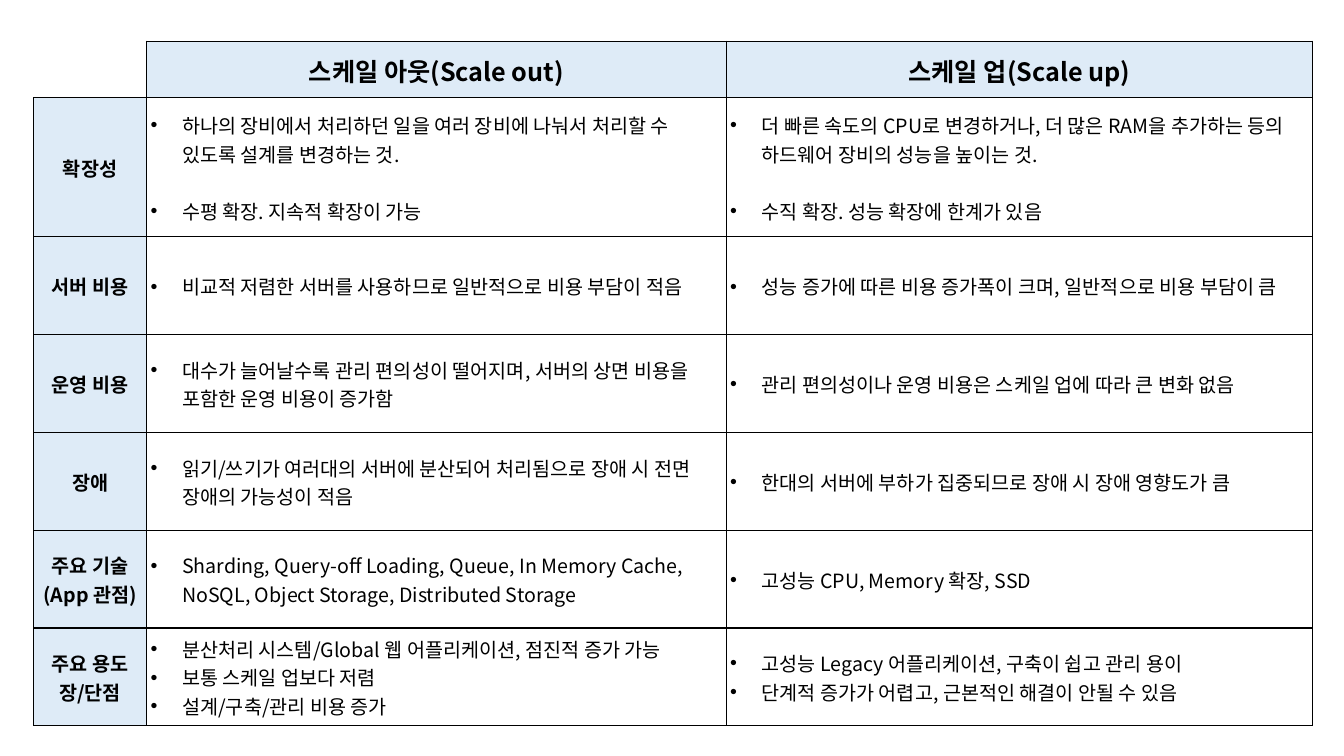
from lxml.etree import SubElement
from pptx import Presentation
from pptx.dml.color import RGBColor
from pptx.enum.text import MSO_ANCHOR as Anchor, PP_ALIGN as Align
from pptx.oxml import parse_xml
from pptx.oxml.ns import nsdecls, qn
from pptx.util import Pt

FONT = "Noto Sans CJK KR"
BLACK = RGBColor(0x00, 0x00, 0x00)
PALE_BLUE = RGBColor(0xDE, 0xEB, 0xF7)
TITLE_SIZE, BODY_SIZE = 18, 14
INDENT = 22.5
BLANK_LINE = 20.25
COLUMN_WIDTHS = (80.7, 414, 419)
ROW_HEIGHTS = (40.3, 99.4) + (69.85,) * 5
TABLE_BOX = (24, 29.5, sum(COLUMN_WIDTHS), sum(ROW_HEIGHTS))

HEADINGS = ("스케일 아웃(Scale out)", "스케일 업(Scale up)")
# Each row: label lines, scale-out points, scale-up points, gap between points
COMPARISON = [
    (["확장성"],
     ["하나의 장비에서 처리하던 일을 여러 장비에 나눠서 처리할 수 있도록 설계를 변경하는 것.",
      "수평 확장. 지속적 확장이 가능"],
     ["더 빠른 속도의 CPU로 변경하거나, 더 많은 RAM을 추가하는 등의 하드웨어 장비의 성능을 높이는 것.",
      "수직 확장. 성능 확장에 한계가 있음"], BLANK_LINE),
    (["서버 비용"],
     ["비교적 저렴한 서버를 사용하므로 일반적으로 비용 부담이 적음"],
     ["성능 증가에 따른 비용 증가폭이 크며, 일반적으로 비용 부담이 큼"], 0),
    (["운영 비용"],
     ["대수가 늘어날수록 관리 편의성이 떨어지며, 서버의 상면 비용을 포함한 운영 비용이 증가함"],
     ["관리 편의성이나 운영 비용은 스케일 업에 따라 큰 변화 없음"], 0),
    (["장애"],
     ["읽기/쓰기가 여러대의 서버에 분산되어 처리됨으로 장애 시 전면 장애의 가능성이 적음"],
     ["한대의 서버에 부하가 집중되므로 장애 시 장애 영향도가 큼"], 0),
    (["주요 기술", "(App 관점)"],
     ["Sharding, Query-off Loading, Queue, In Memory Cache, NoSQL, Object Storage, "
      "Distributed Storage"],
     ["고성능 CPU, Memory 확장, SSD"], 0),
    (["주요 용도", "장/단점"],
     ["분산처리 시스템/Global 웹 어플리케이션, 점진적 증가 가능",
      "보통 스케일 업보다 저렴",
      "설계/구축/관리 비용 증가"],
     ["고성능 Legacy 어플리케이션, 구축이 쉽고 관리 용이",
      "단계적 증가가 어렵고, 근본적인 해결이 안될 수 있음"], 0),
]


def set_borders(cell, visible="LRTB"):
    """Draw thin black lines on the visible sides and none on the others."""
    properties = cell._tc.get_or_add_tcPr()
    for position, side in enumerate("LRTB"):
        paint = (f'<a:solidFill><a:srgbClr val="{BLACK}"/></a:solidFill>'
                 if side in visible else "<a:noFill/>")
        line = parse_xml(f'<a:ln{side} {nsdecls("a")} w="{Pt(1)}">{paint}</a:ln{side}>')
        properties.insert(position, line)


def add_bullet(para):
    """Give a paragraph a round bullet with a hanging indent."""
    properties = para._p.get_or_add_pPr()
    properties.set("marL", str(Pt(INDENT)))
    properties.set("indent", str(-Pt(INDENT)))
    SubElement(properties, qn("a:buFont")).set("typeface", "Arial")
    SubElement(properties, qn("a:buChar")).set("char", "•")


def set_font(para, size, bold):
    """Set the font for Latin and Korean text alike."""
    font = para.font
    font.size, font.bold, font.name = Pt(size), bold, FONT
    font.color.rgb = BLACK
    defaults = para._p.pPr.find(qn("a:defRPr"))
    SubElement(defaults, qn("a:ea")).set("typeface", FONT)


def fill_cell(cell, lines, size=BODY_SIZE, heading=False, gap=0):
    """Write a centred heading or a bulleted list into one cell."""
    cell.vertical_anchor = Anchor.MIDDLE
    cell.margin_left = cell.margin_right = Pt(2.9)
    cell.margin_top, cell.margin_bottom = Pt(2.2), Pt(1.4)
    if heading:
        cell.fill.solid()
        cell.fill.fore_color.rgb = PALE_BLUE
    else:
        cell.fill.background()
    set_borders(cell)
    frame = cell.text_frame
    for number, line in enumerate(lines):
        para = frame.add_paragraph() if number else frame.paragraphs[0]
        para.add_run().text = line
        if heading:
            para.alignment = Align.CENTER
        else:
            add_bullet(para)
        if number and gap:
            para.space_before = Pt(gap)
        set_font(para, size, heading)


def add_comparison_table(page, box):
    """Place the scale-out and scale-up comparison in the given box."""
    frame = page.shapes.add_table(len(ROW_HEIGHTS), len(COLUMN_WIDTHS), *map(Pt, box))
    table = frame.table
    table.first_row = table.horz_banding = False
    for column, width in zip(table.columns, COLUMN_WIDTHS):
        column.width = Pt(width)
    for row, height in zip(table.rows, ROW_HEIGHTS):
        row.height = Pt(height)

    corner = table.cell(0, 0)
    corner.fill.background()
    set_borders(corner, "RB")
    for column, heading in enumerate(HEADINGS, 1):
        fill_cell(table.cell(0, column), [heading], TITLE_SIZE, heading=True)
    for row, (label, scale_out, scale_up, gap) in enumerate(COMPARISON, 1):
        fill_cell(table.cell(row, 0), label, heading=True)
        fill_cell(table.cell(row, 1), scale_out, gap=gap)
        fill_cell(table.cell(row, 2), scale_up, gap=gap)


deck = Presentation()
deck.slide_width, deck.slide_height = Pt(960), Pt(540)
page = deck.slides.add_slide(deck.slide_layouts[6])
add_comparison_table(page, TABLE_BOX)
deck.save("out.pptx")
